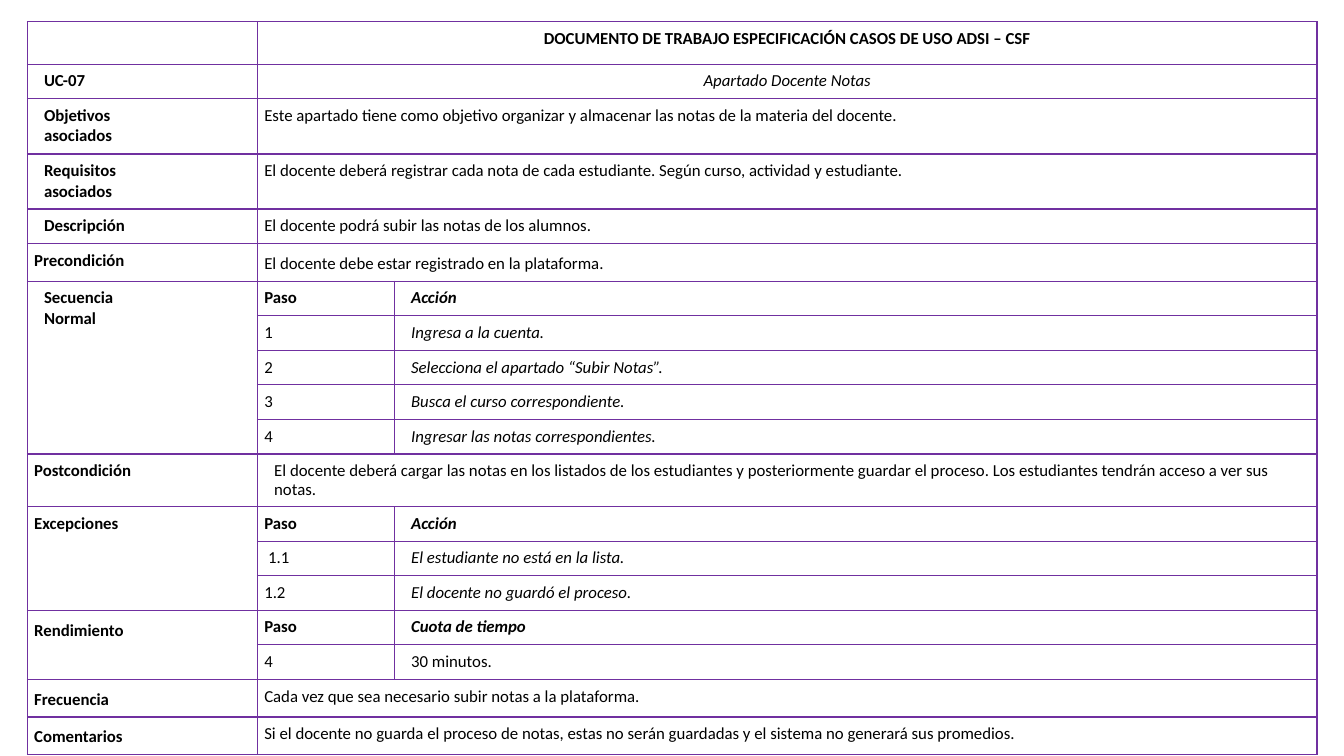
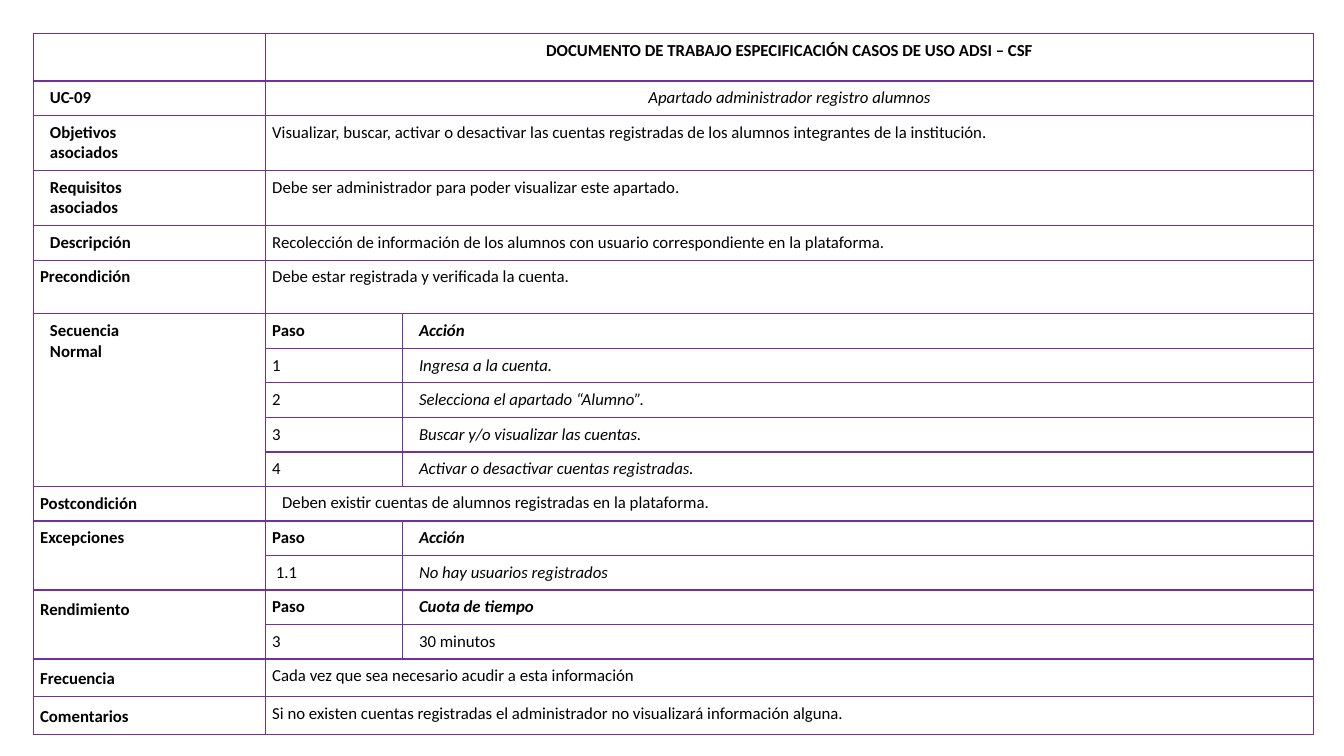
from dataclasses import dataclass

from lxml.etree import SubElement
from pptx import Presentation
from pptx.dml.color import RGBColor
from pptx.enum.text import PP_ALIGN as Align
from pptx.oxml.ns import qn
from pptx.util import Cm, Pt

FONT, SIZE = "Calibri", 12
INK, PURPLE = "000000", "7030A0"
INSET, INDENT = 0.17, 0.25
SINGLE, LOOSE, DOUBLE = 0.87, 0.95, 1.39  # row heights in cm
HEADING = "DOCUMENTO DE TRABAJO ESPECIFICACIÓN CASOS DE USO ADSI – CSF"


@dataclass
class UseCase:
    code: str
    name: str
    goals: str
    requirements: str
    description: str
    precondition: str
    steps: list
    postcondition: str
    exceptions: list
    timing: list
    frequency: str
    comments: str
    heading_height: float
    precondition_height: float
    precondition_spacing: float
    postcondition_height: float


def rgb(color):
    return RGBColor.from_string(color)


def put(cell, text, bold=False, italic=False, indent=0, spacing=None, align=Align.LEFT):
    """Write text into a cell, one paragraph a line."""
    cell.margin_left = cell.margin_right = Cm(INSET)
    cell.margin_top = cell.margin_bottom = Cm(INSET)
    tf = cell.text_frame
    for i, line in enumerate(text.split("\n")):
        p = tf.add_paragraph() if i else tf.paragraphs[0]
        p.alignment = align
        if spacing:
            p.line_spacing = spacing
        if indent:
            p._p.get_or_add_pPr().set("marL", str(Cm(indent)))
        r = p.add_run()
        r.text = line
        r.font.name, r.font.size = FONT, Pt(SIZE)
        r.font.bold, r.font.italic = bold, italic
        r.font.color.rgb = rgb(INK)


def outline(cell):
    """Give a cell purple borders and no fill."""
    tcPr = cell._tc.get_or_add_tcPr()
    for side in ("lnL", "lnR", "lnT", "lnB"):
        ln = SubElement(tcPr, qn(f"a:{side}"), w=str(Pt(1)))
        SubElement(SubElement(ln, qn("a:solidFill")), qn("a:srgbClr"), val=PURPLE)
    cell.fill.background()


def field_row(table, row, label, text, height=SINGLE, label_format=None, **text_format):
    """Fill a row made of a label and one wide cell."""
    table.rows[row].height = Cm(height)
    wide = table.cell(row, 1)
    wide.merge(table.cell(row, 2))
    if label:
        put(table.cell(row, 0), label, bold=True, **(label_format or {}))
    put(wide, text, **text_format)
    return row + 1


def step_rows(table, row, label, heading, steps, italic=True, **label_format):
    """Fill a block with a tall label, a heading row and its steps."""
    last = row + len(steps)
    tall = table.cell(row, 0)
    tall.merge(table.cell(last, 0))
    put(tall, label, bold=True, **label_format)
    for i, (number, action) in enumerate([("Paso", heading)] + steps):
        is_head = i == 0
        table.rows[row + i].height = Cm(SINGLE)
        put(table.cell(row + i, 1), number, bold=is_head)
        put(table.cell(row + i, 2), action, bold=is_head,
            italic=is_head or italic, indent=INDENT)
    return last + 1


def use_case_slide(prs, case, left, top, widths):
    s = prs.slides.add_slide(prs.slide_layouts[6])
    count = 12 + len(case.steps) + len(case.exceptions) + len(case.timing)
    frame = s.shapes.add_table(count, 3, Cm(left), Cm(top), Cm(sum(widths)), Cm(count * SINGLE))
    table = frame.table
    table.first_row = table.horz_banding = False
    for column, width in zip(table.columns, widths):
        column.width = Cm(width)
    for cell in table.iter_cells():
        outline(cell)

    indented, loose = {"indent": INDENT}, {"spacing": 1.15}
    row = field_row(table, 0, "", HEADING, case.heading_height, bold=True, align=Align.CENTER)
    row = field_row(table, row, case.code, case.name, label_format=indented,
                    italic=True, align=Align.CENTER)
    row = field_row(table, row, "Objetivos\nasociados", case.goals, DOUBLE, indented)
    row = field_row(table, row, "Requisitos\nasociados", case.requirements, DOUBLE, indented)
    row = field_row(table, row, "Descripción", case.description,
                    label_format=indented, spacing=0.95)
    row = field_row(table, row, "Precondición", case.precondition,
                    case.precondition_height, spacing=case.precondition_spacing)
    row = step_rows(table, row, "Secuencia\nNormal", "Acción", case.steps, **indented)
    row = field_row(table, row, "Postcondición", case.postcondition,
                    case.postcondition_height, indent=INDENT, spacing=0.95)
    row = step_rows(table, row, "Excepciones", "Acción", case.exceptions)
    row = step_rows(table, row, "Rendimiento", "Cuota de tiempo", case.timing,
                    italic=False, **loose)
    row = field_row(table, row, "Frecuencia", case.frequency, LOOSE, loose)
    field_row(table, row, "Comentarios", case.comments, LOOSE, loose)


TEACHER_GRADES = UseCase(
    code="UC-07",
    name="Apartado Docente Notas",
    goals="Este apartado tiene como objetivo organizar y almacenar las notas de la "
          "materia del docente.",
    requirements="El docente deberá registrar cada nota de cada estudiante. Según curso, "
                 "actividad y estudiante.",
    description="El docente podrá subir las notas de los alumnos.",
    precondition="El docente debe estar registrado en la plataforma.",
    steps=[("1", "Ingresa a la cuenta."),
           ("2", "Selecciona el apartado “Subir Notas”."),
           ("3", "Busca el curso correspondiente."),
           ("4", "Ingresar las notas correspondientes.")],
    postcondition="El docente deberá cargar las notas en los listados de los estudiantes y "
                  "posteriormente guardar el proceso. Los estudiantes tendrán acceso a ver "
                  "sus notas.",
    exceptions=[(" 1.1", "El estudiante no está en la lista."),
                ("1.2", "El docente no guardó el proceso.")],
    timing=[("4", "30 minutos.")],
    frequency="Cada vez que sea necesario subir notas a la plataforma.",
    comments="Si el docente no guarda el proceso de notas, estas no serán guardadas y el "
             "sistema no generará sus promedios.",
    heading_height=1.07,
    precondition_height=LOOSE,
    precondition_spacing=1.15,
    postcondition_height=1.33,
)

STUDENT_ACCOUNTS = UseCase(
    code="UC-09",
    name="Apartado administrador registro alumnos",
    goals="Visualizar, buscar, activar o desactivar las cuentas registradas de los alumnos "
          "integrantes de la institución.",
    requirements="Debe ser administrador para poder visualizar este apartado.",
    description="Recolección de información de los alumnos con usuario correspondiente en "
                "la plataforma.",
    precondition="Debe estar registrada y verificada la cuenta.",
    steps=[("1", "Ingresa a la cuenta."),
           ("2", "Selecciona el apartado “Alumno”."),
           ("3", "Buscar y/o visualizar las cuentas."),
           ("4", "Activar o desactivar cuentas registradas.")],
    postcondition="Deben existir cuentas de alumnos registradas en la plataforma.",
    exceptions=[(" 1.1", "No hay usuarios registrados")],
    timing=[("3", "30 minutos")],
    frequency="Cada vez que sea necesario acudir a esta información",
    comments="Si no existen cuentas registradas el administrador no visualizará información "
             "alguna.",
    heading_height=1.2,
    precondition_height=1.35,
    precondition_spacing=0.95,
    postcondition_height=SINGLE,
)


def main():
    prs = Presentation()
    prs.slide_width, prs.slide_height = Cm(33.87), Cm(19.05)
    use_case_slide(prs, TEACHER_GRADES, 0.69, 0.55, (5.8, 3.45, 23.25))
    use_case_slide(prs, STUDENT_ACCOUNTS, 0.84, 0.84, (5.85, 3.45, 22.97))
    prs.save("out.pptx")


if __name__ == "__main__":
    main()
